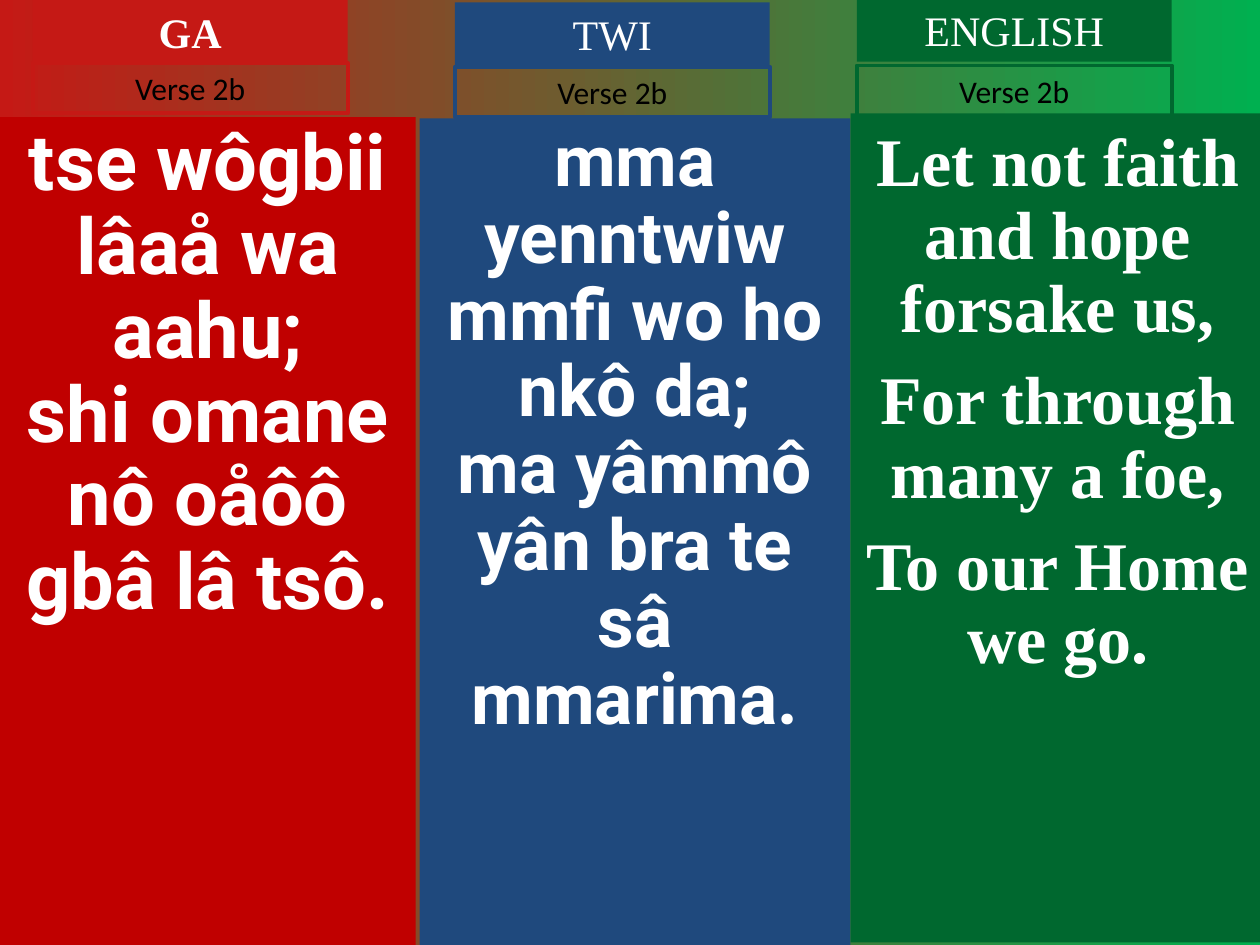
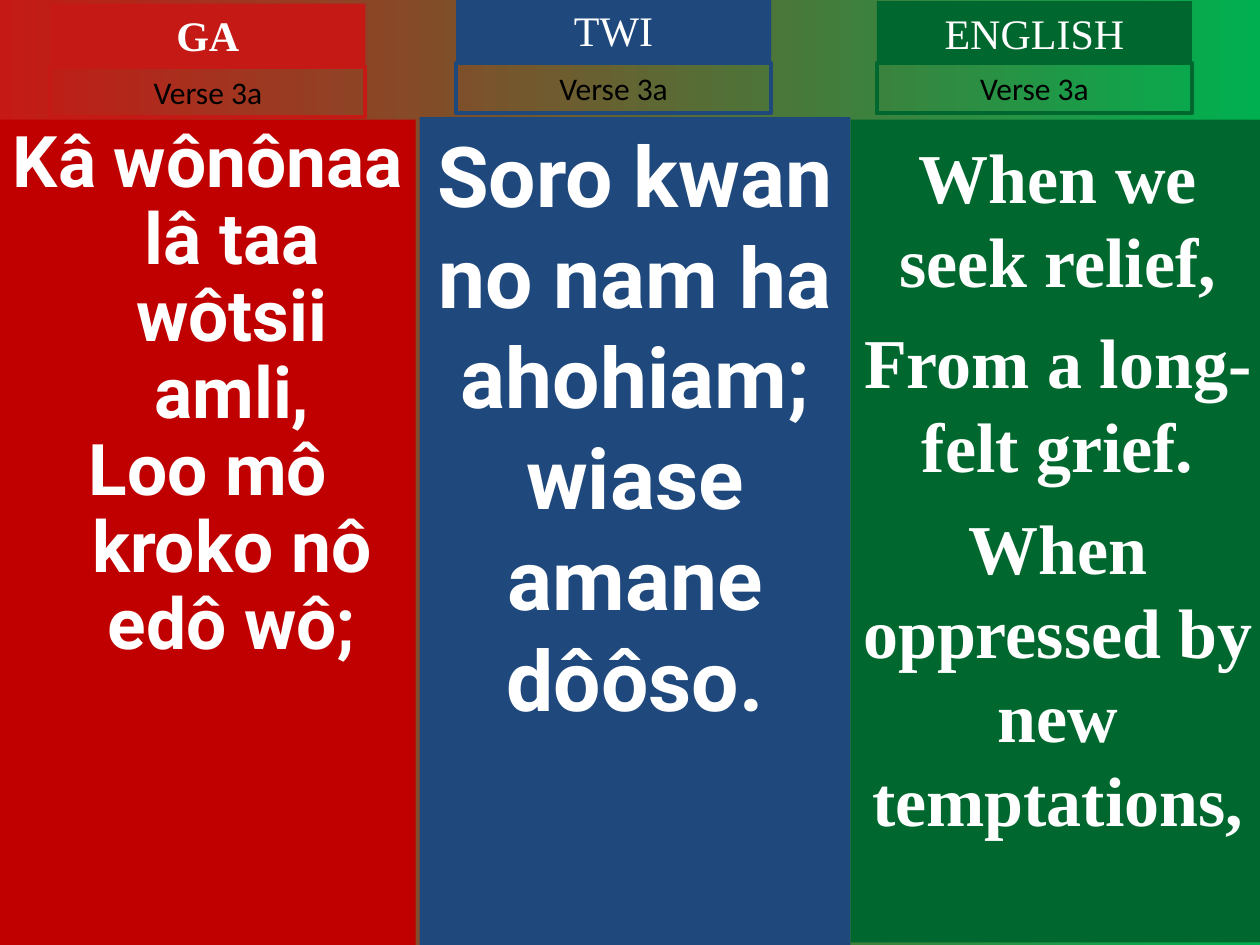
from pptx import Presentation
from pptx.dml.color import RGBColor
from pptx.enum.shapes import MSO_SHAPE as Shape
from pptx.enum.text import MSO_ANCHOR as Anchor, MSO_AUTO_SIZE as AutoSize, PP_ALIGN as Align
from pptx.util import Inches, Pt

RED, RED_PANEL, BLUE, GREEN = "C51915", "C00000", "1F497D", "00682F"
WHITE, BLACK, GLOW = "FFFFFF", "000000", "00B050"
SERIF, SANS, LYRIC = "Times New Roman", "Calibri", "Roboto"

# Language: label colour, panel colour, panel left, panel width, lyric font, bold label
LANGUAGES = {
    "GA": (RED, RED_PANEL, 0, 3.3, LYRIC, True),
    "TWI": (BLUE, BLUE, 3.33, 3.42, LYRIC, False),
    "ENGLISH": (GREEN, GREEN, 6.75, 3.29, SERIF, False),
}
LABEL_WIDTH, LABEL_HEIGHT, VERSE_HEIGHT = 2.5, 0.5, 0.4

# Per language: label (left, top), verse top, panel (top, bottom), lyrics and their style
VERSES = {
    "Verse 2b": {
        "GA": ((0.26, 0), 0.5, (0.93, 7.5),
               ["tse wôgbii lâaå wa aahu;", "shi omane nô oåôô gbâ lâ tsô."],
               dict(size=44.4, spacing=0.9)),
        "TWI": ((3.61, 0.02), 0.53, (0.94, 7.5),
                ["mma yenntwiw mmfi wo ho nkô da;", "ma yâmmô yân bra te sâ mmarima."],
                dict(size=40.7, spacing=0.9)),
        "ENGLISH": ((6.8, -0.01), 0.52, (0.9, 7.48),
                    ["Let not faith and hope forsake us,", "For through many a foe,",
                     "To our Home we go."],
                    dict(size=38.9, spacing=0.9, gap=10.5, top_inset=0.11)),
    },
    "Verse 3a": {
        "GA": ((0.4, 0.03), 0.53, (0.95, 7.5),
               ["Kâ wônônaa lâ taa wôtsii amli,", "Loo mô kroko nô edô wô;"],
               dict(size=40.7, spacing=0.9, hanging=0.38)),
        "TWI": ((3.62, -0.01), 0.5, (0.93, 7.5),
                ["Soro kwan no nam ha ahohiam;", "wiase amane dôôso."],
                dict(size=48)),
        "ENGLISH": ((6.96, 0.01), 0.5, (0.95, 7.48),
                    ["When we seek relief,", "From a long-felt grief.",
                     "When oppressed by new temptations,"],
                    dict(size=40, gap=10, top_inset=0.11)),
    },
}


def rgb(value):
    return RGBColor.from_string(value)


class HymnDeck:
    def __init__(self):
        self.prs = Presentation()
        self.prs.slide_width, self.prs.slide_height = Inches(10), Inches(7.5)
        self.slide = None

    def new_slide(self):
        self.slide = self.prs.slides.add_slide(self.prs.slide_layouts[6])
        backdrop = self.slide.background.fill
        backdrop.gradient()
        backdrop.gradient_angle = 0
        for stop, colour in zip(backdrop.gradient_stops, (RED, GLOW)):
            stop.color.rgb = rgb(colour)

    def box(self, left, top, width, height, fill=None, line=None, top_inset=0.05):
        rect = self.slide.shapes.add_shape(
            Shape.RECTANGLE, Inches(left), Inches(top), Inches(width), Inches(height))
        rect.shadow.inherit = False
        if fill:
            rect.fill.solid()
            rect.fill.fore_color.rgb = rgb(fill)
        else:
            rect.fill.background()
        if line:
            rect.line.color.rgb = rgb(line)
            rect.line.width = Pt(2.25)
        else:
            rect.line.fill.background()
        frame = rect.text_frame
        frame.word_wrap = True
        frame.vertical_anchor = Anchor.TOP
        frame.margin_left = frame.margin_right = Inches(0.1)
        frame.margin_top, frame.margin_bottom = Inches(top_inset), Inches(0.05)
        return frame

    def add_lines(self, frame, lines, font, size, colour=WHITE, bold=False,
                  spacing=1.0, gap=0, hanging=0):
        for index, line in enumerate(lines):
            para = frame.add_paragraph() if index else frame.paragraphs[0]
            para.alignment = Align.CENTER
            para.line_spacing = spacing
            para.space_before = Pt(gap if index else 0)
            if hanging:
                props = para._p.get_or_add_pPr()
                props.set("marL", str(Inches(hanging)))
                props.set("indent", str(-Inches(hanging)))
            run = para.add_run()
            run.text = line
            run.font.name, run.font.size, run.font.bold = font, Pt(size), bold
            run.font.color.rgb = rgb(colour)

    def panel(self, language, top, bottom, lyrics, top_inset=0.05, **style):
        _, fill, left, width, font, _ = LANGUAGES[language]
        frame = self.box(left, top, width, bottom - top, fill, top_inset=top_inset)
        self.add_lines(frame, lyrics, font, bold=True, **style)

    def label(self, language, left, top):
        colour, *_, bold = LANGUAGES[language]
        frame = self.box(left, top, LABEL_WIDTH, LABEL_HEIGHT, fill=colour)
        frame.auto_size = AutoSize.SHAPE_TO_FIT_TEXT
        self.add_lines(frame, [language], SERIF, 24, bold=bold)

    def verse_tag(self, language, verse, left, top):
        frame = self.box(left, top, LABEL_WIDTH, VERSE_HEIGHT, line=LANGUAGES[language][0])
        frame.auto_size = AutoSize.SHAPE_TO_FIT_TEXT
        self.add_lines(frame, [verse], SANS, 18, BLACK)


def main():
    deck = HymnDeck()
    for verse, columns in VERSES.items():
        deck.new_slide()
        # One column per language: lyrics panel, language label, verse tag
        for language, (label_at, verse_top, extent, lyrics, style) in columns.items():
            deck.panel(language, *extent, lyrics, **style)
            deck.label(language, *label_at)
            deck.verse_tag(language, verse, label_at[0], verse_top)
    deck.prs.save("out.pptx")


if __name__ == "__main__":
    main()
